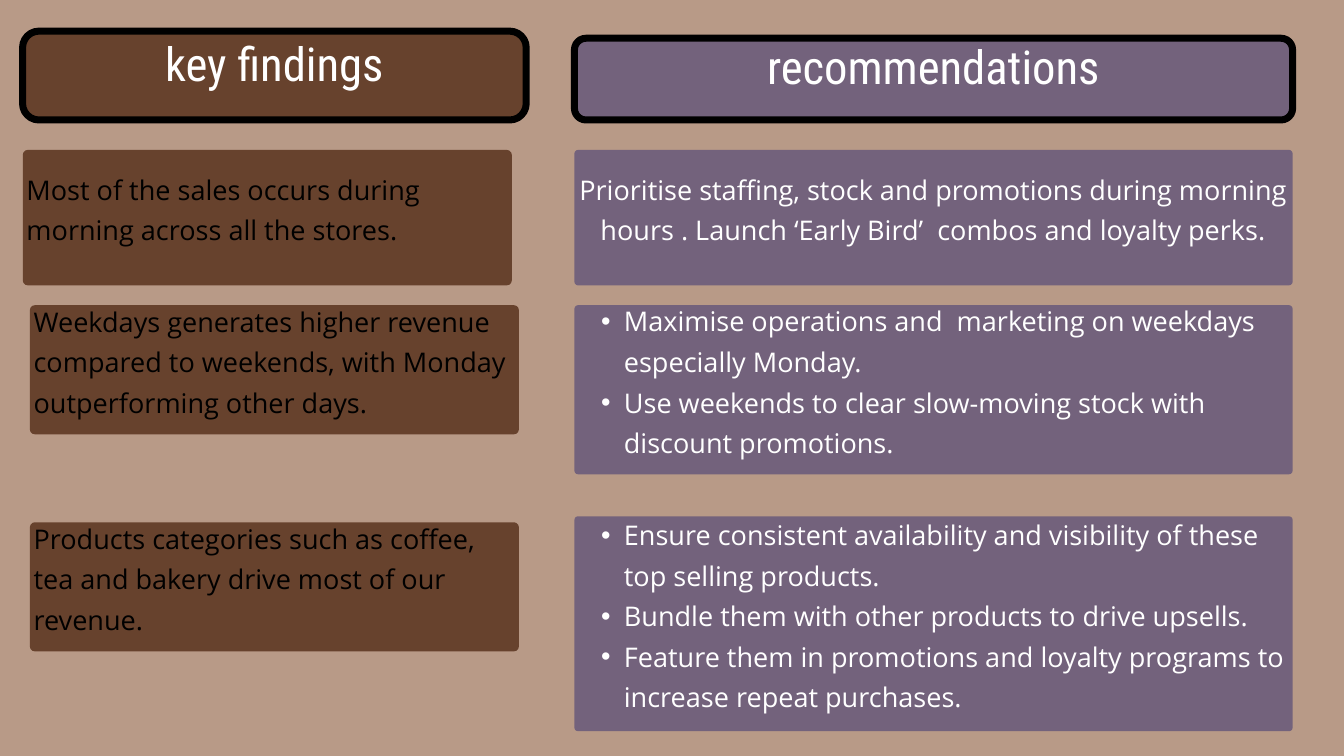
import lxml.etree
import pptx
import pptx.dml.color
import pptx.enum.shapes
import pptx.enum.text
import pptx.oxml.ns
import pptx.util

Pt = pptx.util.Pt
Color = pptx.dml.color.RGBColor.from_string
Align = pptx.enum.text.PP_ALIGN

THEME = {
    "background": Color("B89A87"),
    "brown": Color("67422D"),
    "purple": Color("73627C"),
    "black": Color("000000"),
    "white": Color("FFFFFF"),
    "heading": {"font": "Roboto Condensed", "size": 50, "leading": 75, "rise": 42.6},
    "body": {"font": "Open Sans", "size": 29, "leading": 43.5, "rise": 25.5},
}


def add_panel(left, top, width, height, radius, fill, outlined=False):
    """Draw a rounded panel with a corner radius in points."""
    panel = slide.shapes.add_shape(
        pptx.enum.shapes.MSO_SHAPE.ROUNDED_RECTANGLE,
        Pt(left), Pt(top), Pt(width), Pt(height))
    panel.adjustments[0] = radius / min(width, height)
    panel.shadow.inherit = False
    panel.fill.solid()
    panel.fill.fore_color.rgb = THEME[fill]
    if outlined:
        panel.line.color.rgb = THEME["black"]
        panel.line.width = Pt(7.5)
    else:
        panel.line.fill.background()


def add_text(left, top, width, height, lines, style, color, align, bulleted=False):
    """Centre text vertically in a frame that rises above its panel."""
    style = THEME[style]
    box = slide.shapes.add_textbox(
        Pt(left), Pt(top - style["rise"]), Pt(width), Pt(height + style["rise"]))
    frame = box.text_frame
    frame.word_wrap = True
    frame.vertical_anchor = pptx.enum.text.MSO_ANCHOR.MIDDLE
    frame.margin_left = frame.margin_right = Pt(4)
    frame.margin_top = frame.margin_bottom = Pt(4)
    for index, line in enumerate(lines):
        paragraph = frame.add_paragraph() if index else frame.paragraphs[0]
        paragraph.alignment = align
        paragraph.line_spacing = Pt(style["leading"])
        if bulleted:
            paragraph.level = 1
            properties = paragraph._p.get_or_add_pPr()
            properties.set("marL", str(Pt(49)))
            properties.set("indent", str(-Pt(24.5)))
            lxml.etree.SubElement(
                properties, pptx.oxml.ns.qn("a:buFont"), typeface="Arial")
            lxml.etree.SubElement(
                properties, pptx.oxml.ns.qn("a:buChar"), char="•")
        run = paragraph.add_run()
        run.text = line
        run.font.name = style["font"]
        run.font.size = Pt(style["size"])
        run.font.color.rgb = THEME[color]


# Slide and background
presentation = pptx.Presentation()
presentation.slide_width = Pt(1440)
presentation.slide_height = Pt(810)
slide = presentation.slides.add_slide(presentation.slide_layouts[6])
slide.background.fill.solid()
slide.background.fill.fore_color.rgb = THEME["background"]

# Column headings
headings = [
    ("key findings", (24.2, 33.4, 539.6, 95.2), 17.6, "brown"),
    ("recommendations", (615.5, 41, 769.5, 87.6), 12.4, "purple"),
]
for title, bounds, radius, fill in headings:
    add_panel(*bounds, radius, fill, outlined=True)
    add_text(*bounds, [title], "heading", "white", Align.CENTER)

# Key findings
findings = [
    (24.4, 160.6, 145.2,
     "Most of the sales occurs during morning across all the stores."),
    (32, 327, 138.4,
     "Weekdays generates higher revenue compared to weekends, "
     "with Monday outperforming other days."),
    (32, 559.6, 138.4,
     "Products categories such as coffee, tea and bakery "
     "drive most of our revenue."),
]
for left, top, height, finding in findings:
    bounds = (left, top, 524, height)
    add_panel(*bounds, 5.4, "brown")
    add_text(*bounds, [finding], "body", "black", Align.LEFT)

# Recommendations: a lone statement is centred, several become bullets
recommendations = [
    (160.6, 145.2, [
        "Prioritise staffing, stock and promotions during morning hours . "
        "Launch ‘Early Bird’  combos and loyalty perks."]),
    (327, 181.2, [
        "Maximise operations and  marketing on weekdays especially Monday.",
        "Use weekends to clear slow-moving stock with discount promotions."]),
    (553.2, 230.2, [
        "Ensure consistent availability and visibility of these "
        "top selling products.",
        "Bundle them with other products to drive upsells.",
        "Feature them in promotions and loyalty programs to "
        "increase repeat purchases."]),
]
for top, height, lines in recommendations:
    bounds = (615.5, top, 769.5, height)
    bulleted = len(lines) > 1
    add_panel(*bounds, 3.8, "purple")
    add_text(*bounds, lines, "body", "white",
             Align.LEFT if bulleted else Align.CENTER, bulleted)

presentation.save("out.pptx")
